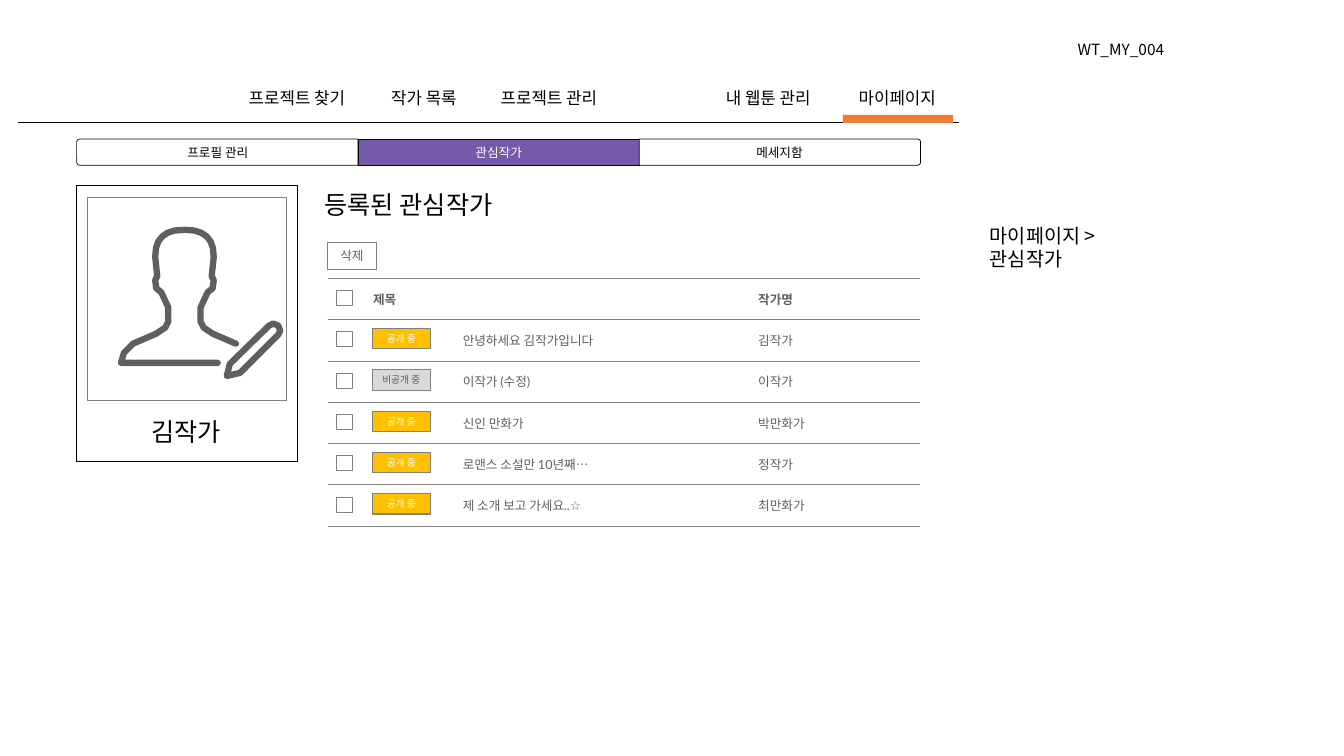
import math
from lxml import etree
from pptx import Presentation
from pptx import util as u
from pptx.dml.color import RGBColor
from pptx.enum import shapes, text
from pptx.oxml import ns

COLORS = {"black": "000000", "white": "FFFFFF", "gray": "808080", "dark": "5F5F5F",
          "light": "D9D9D9", "purple": "755AA9", "amber": "FFC000", "orange": "ED7D31"}
KOREAN, LATIN = "Noto Sans CJK KR", "Lato"
LEFT, CENTER = text.PP_ALIGN.LEFT, text.PP_ALIGN.CENTER
RECTANGLE = shapes.MSO_SHAPE.RECTANGLE
TAB = shapes.MSO_SHAPE.ROUND_2_SAME_RECTANGLE

presentation = Presentation()
presentation.slide_width, presentation.slide_height = u.Inches(13.33), u.Inches(7.5)
slide = presentation.slides.add_slide(presentation.slide_layouts[6])


def write(frame, wording, size, font, color, align=LEFT, bold=False):
    for index, line in enumerate(wording.split("\n")):
        paragraph = frame.add_paragraph() if index else frame.paragraphs[0]
        paragraph.alignment = align
        run = paragraph.add_run()
        run.text = line
        run.font.size, run.font.bold, run.font.name = u.Pt(size), bold, font
        run.font.color.rgb = RGBColor.from_string(COLORS[color])
        east_asian = etree.SubElement(run.font._element, ns.qn("a:ea"))
        east_asian.set("typeface", KOREAN)


def add_box(kind, left, top, width, height, fill=None, line=None, weight=0.5):
    frame = [u.Inches(length) for length in (left, top, width, height)]
    if kind is None:
        shape = slide.shapes.add_textbox(*frame)
        shape.text_frame.word_wrap = True
        return shape
    shape = slide.shapes.add_shape(kind, *frame)
    shape.shadow.inherit = False
    if fill:
        shape.fill.solid()
        shape.fill.fore_color.rgb = RGBColor.from_string(COLORS[fill])
    else:
        shape.fill.background()
    if line:
        shape.line.color.rgb = RGBColor.from_string(COLORS[line])
        shape.line.width = u.Pt(weight)
    else:
        shape.line.fill.background()
    text_frame = shape.text_frame
    text_frame.margin_left = text_frame.margin_right = 0
    text_frame.margin_top = text_frame.margin_bottom = 0
    text_frame.vertical_anchor = text.MSO_ANCHOR.MIDDLE
    text_frame.word_wrap = False
    return shape


# Profile frames
add_box(RECTANGLE, 0.76, 1.84, 2.19, 2.74, None, "black", 1)
add_box(RECTANGLE, 0.87, 1.96, 1.97, 2.01, "white", "gray")

# Free-standing texts
for wording, left, top, width, height, size, align in [
    ("마이페이지 >\n관심작가", 9.72, 2.17, 3.23, 0.57, 14, LEFT),
    ("WT_MY_004", 10.59, 0.35, 2.59, 0.29, 11, LEFT),
    ("김작가", 0.87, 4.08, 1.95, 0.4, 18, CENTER),
    ("등록된 관심작가", 3.12, 1.83, 2.74, 0.4, 18, LEFT),
]:
    label = add_box(None, left, top, width, height)
    write(label.text_frame, wording, size, KOREAN, "black", align)

# Navigation with its rule and the marker of the current page
for wording, left, width in [("프로젝트 찾기", 2.3, 1.29), ("작가 목록", 3.74, 0.93),
                             ("프로젝트 관리", 4.81, 1.27), ("내 웹툰 관리", 7.02, 1.2),
                             ("마이페이지", 8.36, 1.08)]:
    label = add_box(None, left, 0.82, width, 0.3)
    write(label.text_frame, wording, 12, KOREAN, "black", CENTER)
rule = slide.shapes.add_connector(shapes.MSO_CONNECTOR.STRAIGHT, u.Inches(0.18),
                                  u.Inches(1.21), u.Inches(9.51), u.Inches(1.21))
rule.line.color.rgb = RGBColor.from_string(COLORS["black"])
rule.line.width = u.Pt(0.5)
etree.SubElement(rule._element.spPr, ns.qn("a:effectLst"))
add_box(RECTANGLE, 8.36, 1.14, 1.09, 0.08, "orange")

# Tabs: the outer two are upright shapes turned by a quarter
TAB_LEFT, TAB_TOP, TAB_WIDTH, TAB_HEIGHT = 0.76, 1.38, 2.79, 0.26
turn = (TAB_WIDTH - TAB_HEIGHT) / 2
for column, (wording, corners) in enumerate([
    ("프로필 관리", (0, 0.12)), ("관심작가", None), ("메세지함", (0.11, 0)),
]):
    left = TAB_LEFT + column * TAB_WIDTH
    if corners:
        tab = add_box(TAB, left + turn, TAB_TOP - turn, TAB_HEIGHT, TAB_WIDTH,
                      "white", "black")
        tab.rotation = 90
        tab.adjustments[0], tab.adjustments[1] = corners
        tab.text_frame._txBody.bodyPr.set("vert", "vert270")
    else:
        tab = add_box(RECTANGLE, left, TAB_TOP, TAB_WIDTH, TAB_HEIGHT, "purple", "black")
    write(tab.text_frame, wording, 9, LATIN, "black" if corners else "white", CENTER)

# Person and pencil icon: thick outlines, the person mirrored about its middle
MIDDLE, HEAD_TOP, HEAD_WIDTH, HEAD_HEIGHT = 1.83, 2.28, 0.29, 0.27
ARC_STEPS = 12
half = [(1.2, 3.6), (1.23, 3.5), (1.32, 3.41), (1.55, 3.31), (1.64, 3.25), (1.67, 3.19),
        (1.67, 3.05), (1.6, 2.9), (1.55, 2.86), (1.54, 2.78), (1.56, 2.74)]
head = []
for step in range(ARC_STEPS + 1):
    angle = math.pi * step / ARC_STEPS
    across = math.copysign(abs(math.cos(angle)) ** 0.8, math.cos(angle))
    head.append((MIDDLE - HEAD_WIDTH * across,
                 HEAD_TOP + HEAD_HEIGHT * (1 - math.sin(angle) ** 0.8)))
mirrored = [(2 * MIDDLE - x, y) for x, y in reversed(half[2:])]
person = [(2.16, 3.6)] + half + head + mirrored
pencil = [(2.25, 3.73), (2.28, 3.61), (2.67, 3.23), (2.71, 3.21), (2.76, 3.23),
          (2.78, 3.28), (2.76, 3.32), (2.38, 3.7)]
for outline, closed in ((person, False), (pencil, True)):
    points = [(u.Inches(x), u.Inches(y)) for x, y in outline]
    builder = slide.shapes.build_freeform(*points[0])
    builder.add_line_segments(points[1:], close=closed)
    icon = builder.convert_to_shape()
    icon.shadow.inherit = False
    icon.fill.background()
    icon.line.color.rgb = RGBColor.from_string(COLORS["dark"])
    icon.line.width = u.Pt(4.5)
    icon.line._get_or_add_ln().set("cap", "flat" if closed else "rnd")
    etree.SubElement(icon.line._get_or_add_ln(), ns.qn("a:round"))

# Table of favourite authors
TABLE_LEFT, TABLE_TOP, ROW = 3.25, 2.76, 0.41
columns = [0.35, 0.89, 2.93, 1.71]
rows = [("", "제목", "", "작가명"), ("", "", "안녕하세요 김작가입니다", "김작가"),
        ("", "", "이작가 (수정)", "이작가"), ("", "", "신인 만화가", "박만화가"),
        ("", "", "로맨스 소설만 10년째…", "정작가"), ("", "", "제 소개 보고 가세요..☆", "최만화가")]
table = slide.shapes.add_table(len(rows), len(columns), u.Inches(TABLE_LEFT), u.Inches(TABLE_TOP),
                               u.Inches(sum(columns)), u.Inches(ROW * len(rows))).table
table.first_row = table.horz_banding = False
for column, width in zip(table.columns, columns):
    column.width = u.Inches(width)
for row, wordings in enumerate(rows):
    for column, wording in enumerate(wordings):
        cell = table.cell(row, column)
        cell.vertical_anchor = text.MSO_ANCHOR.MIDDLE
        if wording:
            write(cell.text_frame, wording, 9, LATIN, "dark", bold=row == 0)
        else:
            ending = etree.SubElement(cell.text_frame.paragraphs[0]._p, ns.qn("a:endParaRPr"))
            ending.set("sz", "900")
        properties = cell._tc.get_or_add_tcPr()
        for side in "LRTB":
            border = etree.SubElement(properties, ns.qn("a:ln" + side), w=str(u.Pt(0.5)))
            if side in "LR":
                etree.SubElement(border, ns.qn("a:noFill"))
            else:
                solid = etree.SubElement(border, ns.qn("a:solidFill"))
                etree.SubElement(solid, ns.qn("a:srgbClr"), val=COLORS["gray"])
        cell.fill.solid()
        cell.fill.fore_color.rgb = RGBColor.from_string(COLORS["white"])

# Checkboxes, status badges and delete button
for row in range(len(rows)):
    add_box(RECTANGLE, 3.34, TABLE_TOP + row * ROW + 0.12, 0.15, 0.15, "white", "gray")
public, private = ("공개 중", "amber", "white"), ("비공개 중", "light", "dark")
for row, (wording, fill, color) in enumerate([public, private, public, public, public], 1):
    badge = add_box(RECTANGLE, 3.69, TABLE_TOP + row * ROW + 0.09, 0.58, 0.2, fill, "gray", 0.75)
    write(badge.text_frame, wording, 7, LATIN, color, CENTER)
button = add_box(RECTANGLE, TABLE_LEFT, 2.4, 0.48, 0.27, "white", "gray")
write(button.text_frame, "삭제", 9, LATIN, "dark", CENTER)

presentation.save("out.pptx")
